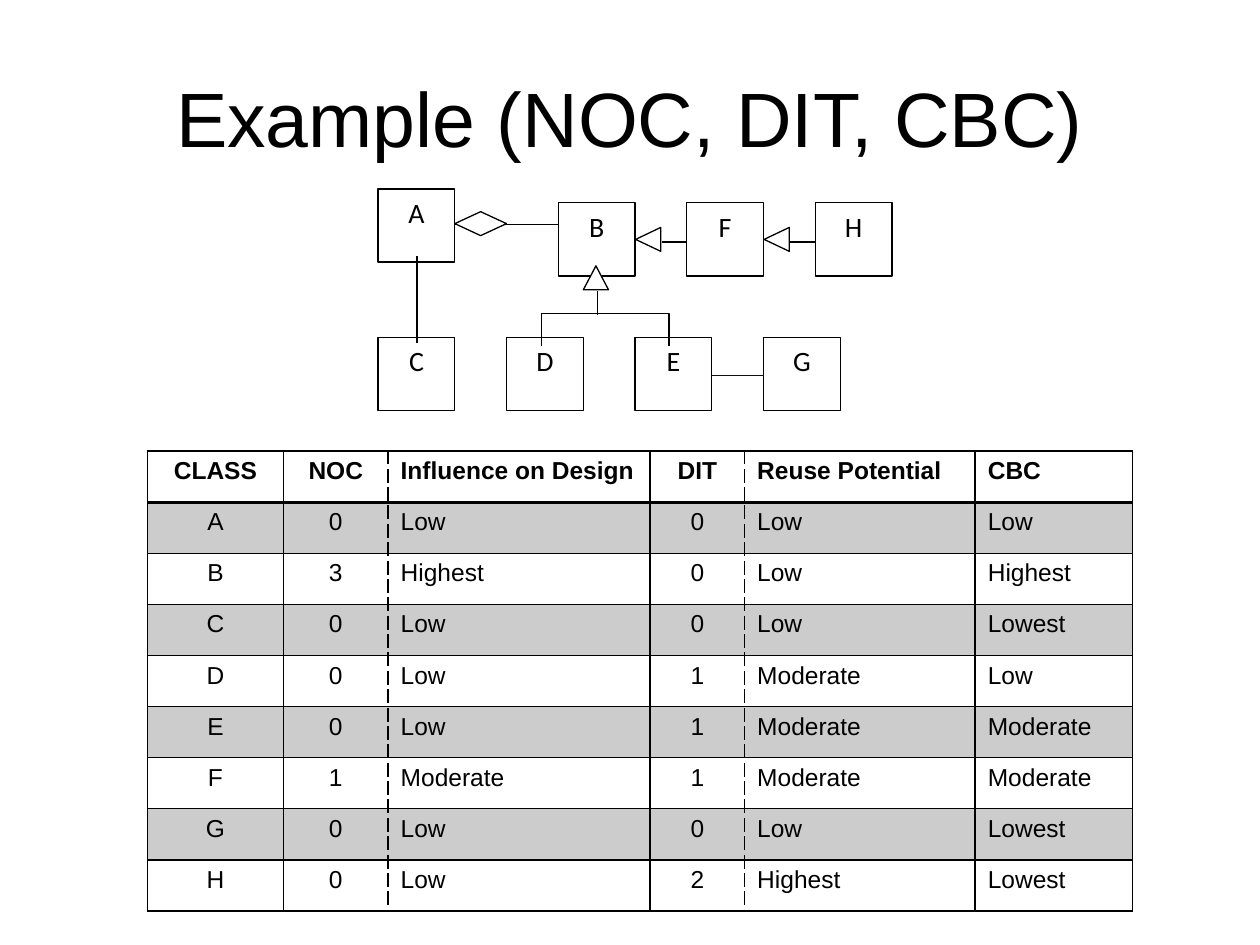
from lxml.etree import SubElement
from pptx import Presentation
from pptx.dml.color import RGBColor
from pptx.enum.shapes import MSO_CONNECTOR, MSO_SHAPE
from pptx.enum.text import MSO_ANCHOR, PP_ALIGN
from pptx.oxml.ns import qn
from pptx.util import Inches, Pt

BLACK = RGBColor(0x00, 0x00, 0x00)
WHITE = RGBColor(0xFF, 0xFF, 0xFF)
NEAR_BLACK = RGBColor(0x0D, 0x0D, 0x0D)

deck = Presentation()
deck.slide_width, deck.slide_height = Inches(10), Inches(7.5)
page = deck.slides.add_slide(deck.slide_layouts[5])

title = page.shapes.title
title.left, title.top = Inches(0.5), Inches(0.3)
title.width, title.height = Inches(9), Inches(1.25)
title.text_frame.text = "Example (NOC, DIT, CBC)"
title.text_frame.vertical_anchor = MSO_ANCHOR.MIDDLE
heading = title.text_frame.paragraphs[0]
heading.alignment = PP_ALIGN.CENTER
heading.font.name, heading.font.size = "Arial", Pt(44)
heading.font.color.rgb = BLACK


def add_symbol(kind, left, top, width, height):
    symbol = page.shapes.add_shape(
        kind, Inches(left), Inches(top), Inches(width), Inches(height))
    symbol.shadow.inherit = False
    symbol.fill.solid()
    symbol.fill.fore_color.rgb = WHITE
    symbol.line.color.rgb = BLACK
    symbol.line.width = Pt(0.75)
    return symbol


def add_line(start_x, start_y, end_x, end_y, color=BLACK):
    line = page.shapes.add_connector(
        MSO_CONNECTOR.STRAIGHT,
        Inches(start_x), Inches(start_y), Inches(end_x), Inches(end_y))
    line.line.color.rgb = color
    line.line.width = Pt(0.75)
    SubElement(line._element.spPr, qn("a:effectLst"))


add_line(3.61, 1.78, 4.63, 1.78)

class_boxes = [
    ("A", 3, 1.5), ("B", 4.43, 1.61), ("F", 5.45, 1.61), ("H", 6.47, 1.61),
    ("C", 3, 2.68), ("D", 4.02, 2.68), ("E", 5.04, 2.68), ("G", 6.06, 2.68),
]
for name, left, top in class_boxes:
    box = add_symbol(MSO_SHAPE.RECTANGLE, left, top, 0.61, 0.58)
    box.text_frame.text = name
    box.text_frame.vertical_anchor = MSO_ANCHOR.TOP
    para = box.text_frame.paragraphs[0]
    para.alignment = PP_ALIGN.CENTER
    para.space_after = Pt(10)
    para.font.name, para.font.size = "Calibri", Pt(16)
    para.font.color.rgb = BLACK

add_symbol(MSO_SHAPE.FLOWCHART_DECISION, 3.61, 1.68, 0.41, 0.19)
add_line(3.31, 2.03, 3.31, 2.72)

add_symbol(MSO_SHAPE.FLOWCHART_EXTRACT, 4.63, 2.11, 0.2, 0.19)
builder = page.shapes.build_freeform(Inches(4.3), Inches(2.75))
builder.add_line_segments(
    [(Inches(x), Inches(y)) for x, y in [(4.3, 2.49), (5.31, 2.49), (5.31, 2.75)]],
    close=False)
branch = builder.convert_to_shape()
branch.shadow.inherit = False
branch.fill.background()
branch.line.color.rgb = BLACK
branch.line.width = Pt(0.75)
add_line(4.74, 2.31, 4.74, 2.5)

for left in (5.05, 6.07):
    arrow = add_symbol(MSO_SHAPE.FLOWCHART_EXTRACT, left, 1.8, 0.19, 0.2)
    arrow.rotation = 270
    add_line(left + 0.2, 1.92, left + 0.4, 1.92)

add_line(5.65, 2.98, 6.06, 2.98, NEAR_BLACK)

rows = [
    ("CLASS", "NOC", "Influence on Design", "DIT", "Reuse Potential", "CBC"),
    ("A", "0", "Low", "0", "Low", "Low"),
    ("B", "3", "Highest", "0", "Low", "Highest"),
    ("C", "0", "Low", "0", "Low", "Lowest"),
    ("D", "0", "Low", "1", "Moderate", "Low"),
    ("E", "0", "Low", "1", "Moderate", "Moderate"),
    ("F", "1", "Moderate", "1", "Moderate", "Moderate"),
    ("G", "0", "Low", "0", "Low", "Lowest"),
    ("H", "0", "Low", "2", "Highest", "Lowest"),
]
column_widths = [1.08, 0.83, 2.08, 0.75, 1.83, 1.25]
centred_columns = {0, 1, 3}
dashed_right = {1, 3}
dashed_left = {2, 4}

table = page.shapes.add_table(
    len(rows), len(column_widths),
    Inches(1.17), Inches(3.58), Inches(7.83), Inches(3.65)).table
table.first_row = False
table.horz_banding = False
for column, width in zip(table.columns, column_widths):
    column.width = Inches(width)

for row_index, row in enumerate(rows):
    for column_index, text in enumerate(row):
        cell = table.cell(row_index, column_index)
        cell.text = text
        para = cell.text_frame.paragraphs[0]
        centred = column_index in centred_columns
        para.alignment = PP_ALIGN.CENTER if centred else PP_ALIGN.LEFT
        para.font.name, para.font.size = "Arial", Pt(14)
        para.font.bold = row_index == 0
        para.font.color.rgb = BLACK

        properties = cell._tc.get_or_add_tcPr()
        borders = [
            ("a:lnL", 1, column_index in dashed_left),
            ("a:lnR", 1, column_index in dashed_right),
            ("a:lnT", 2 if row_index == 1 else 1, False),
            ("a:lnB", 2 if row_index == 0 else 1, False),
        ]
        for side, points, dashed in borders:
            border = SubElement(properties, qn(side), w=str(Pt(points)))
            paint = SubElement(border, qn("a:solidFill"))
            SubElement(paint, qn("a:srgbClr"), val=str(BLACK))
            SubElement(border, qn("a:prstDash"), val="sysDash" if dashed else "solid")

        if row_index % 2:
            cell.fill.solid()
            cell.fill.fore_color.rgb = BLACK
            shade = properties.find(qn("a:solidFill")).find(qn("a:srgbClr"))
            SubElement(shade, qn("a:alpha"), val="20000")
        else:
            cell.fill.background()

deck.save("out.pptx")
